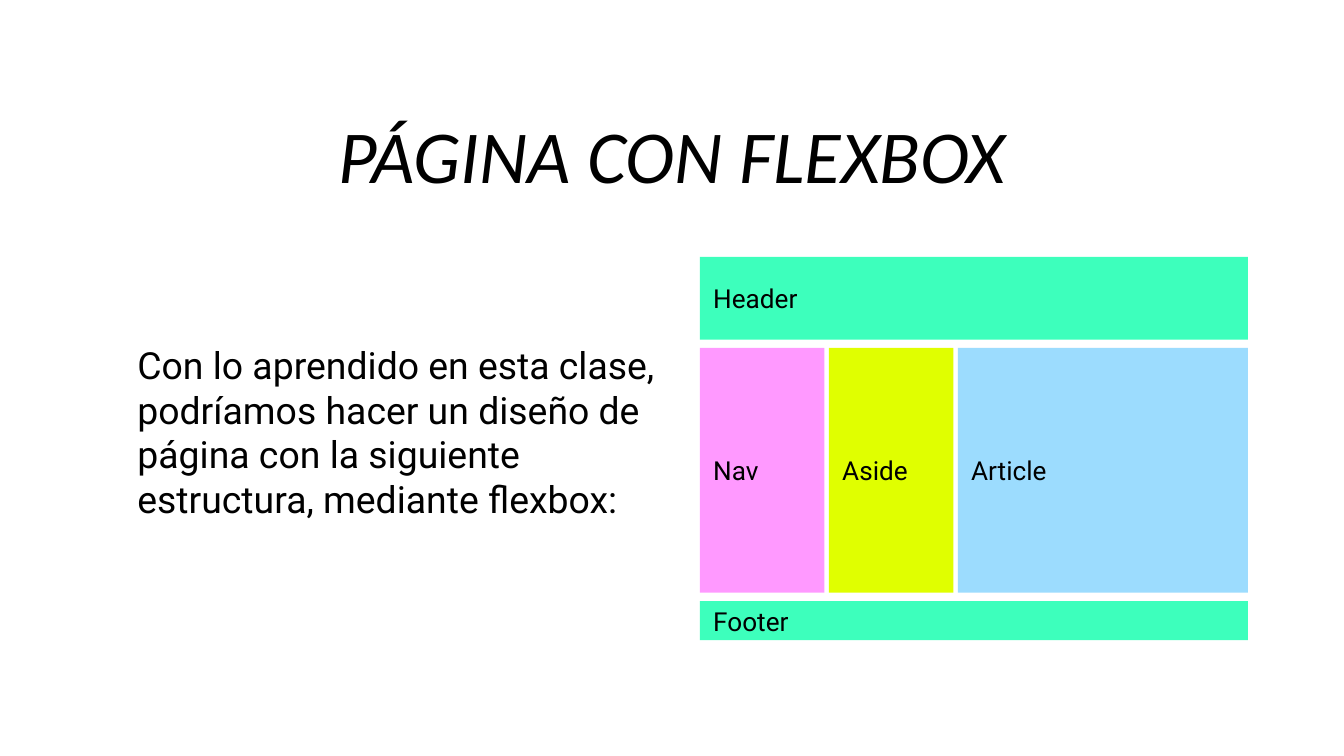
from dataclasses import dataclass

from lxml.etree import SubElement
from pptx import Presentation
from pptx.dml.color import RGBColor
from pptx.enum.shapes import MSO_SHAPE as Shape
from pptx.enum.text import MSO_ANCHOR as Anchor, PP_ALIGN as Align
from pptx.oxml.ns import qn
from pptx.util import Pt


@dataclass(frozen=True)
class Theme:
    text: str = "000000"
    green: str = "3DFFBC"
    magenta: str = "FF00FF"
    yellow: str = "E0FF00"
    blue: str = "9CDCFE"
    title_font: str = "Calibri"
    body_font: str = "Roboto"
    title_size: int = 40
    body_size: int = 20
    label_size: int = 14
    inset: float = 7.2


class SlideBuilder:
    def __init__(self, slide, theme):
        self.slide = slide
        self.theme = theme

    def set_text(self, shape, text, font, size, anchor, italic=False):
        """Fill the shape with one styled paragraph and return it."""
        frame = shape.text_frame
        frame.word_wrap = True
        frame.vertical_anchor = anchor
        frame.margin_left = frame.margin_right = Pt(self.theme.inset)
        frame.margin_top = frame.margin_bottom = Pt(self.theme.inset)
        paragraph = frame.paragraphs[0]
        paragraph.alignment = Align.LEFT
        run = paragraph.add_run()
        run.text = text
        run.font.name = font
        run.font.size = Pt(size)
        run.font.italic = italic
        run.font.color.rgb = RGBColor.from_string(self.theme.text)
        return paragraph

    def title(self, text, left, top, width, height):
        box = self.slide.shapes.add_textbox(Pt(left), Pt(top), Pt(width), Pt(height))
        paragraph = self.set_text(box, text, self.theme.title_font,
                                  self.theme.title_size, Anchor.TOP, italic=True)
        paragraph.alignment = Align.CENTER
        paragraph.line_spacing = 1.15
        paragraph.space_after = Pt(3)

    def body(self, text, left, top, width, height):
        box = self.slide.shapes.add_textbox(Pt(left), Pt(top), Pt(width), Pt(height))
        self.set_text(box, text, self.theme.body_font, self.theme.body_size, Anchor.TOP)

    def block(self, label, color, left, top, width, height, opacity=100):
        shape = self.slide.shapes.add_shape(
            Shape.RECTANGLE, Pt(left), Pt(top), Pt(width), Pt(height))
        shape.shadow.inherit = False
        shape.line.fill.background()
        shape.fill.solid()
        shape.fill.fore_color.rgb = RGBColor.from_string(color)
        if opacity < 100:
            fill_color = shape.element.spPr.find(qn("a:solidFill"))[0]
            SubElement(fill_color, qn("a:alpha"), val=str(opacity * 1000))
        self.set_text(shape, label, self.theme.body_font,
                      self.theme.label_size, Anchor.MIDDLE)


def draw_page_layout(builder):
    theme = builder.theme
    left, top, width = 375, 137.6, 293.6
    row_gap, column_gap = 4.4, 2.4
    header_height, middle_height, footer_height = 44.4, 131.2, 21
    side_width = 66.7
    article_width = width - 2 * (side_width + column_gap)

    builder.block("Header", theme.green, left, top, width, header_height)

    top += header_height + row_gap
    column_left = left
    for label, color, column_width, opacity in (
        ("Nav", theme.magenta, side_width, 40),
        ("Aside", theme.yellow, side_width, 100),
        ("Article", theme.blue, article_width, 100),
    ):
        builder.block(label, color, column_left, top, column_width,
                      middle_height, opacity)
        column_left += column_width + column_gap

    top += middle_height + row_gap
    builder.block("Footer", theme.green, left, top, width, footer_height)


def main():
    presentation = Presentation()
    presentation.slide_width = Pt(720)
    presentation.slide_height = Pt(405)
    slide = presentation.slides.add_slide(presentation.slide_layouts[6])
    builder = SlideBuilder(slide, Theme())
    builder.title("PÁGINA CON FLEXBOX", 79.5, 44, 561, 54.6)
    builder.body("Con lo aprendido en esta clase, podríamos hacer un diseño de "
                 "página con la siguiente estructura, mediante flexbox:",
                 66.5, 176, 306, 107)
    draw_page_layout(builder)
    presentation.save("out.pptx")


if __name__ == "__main__":
    main()
